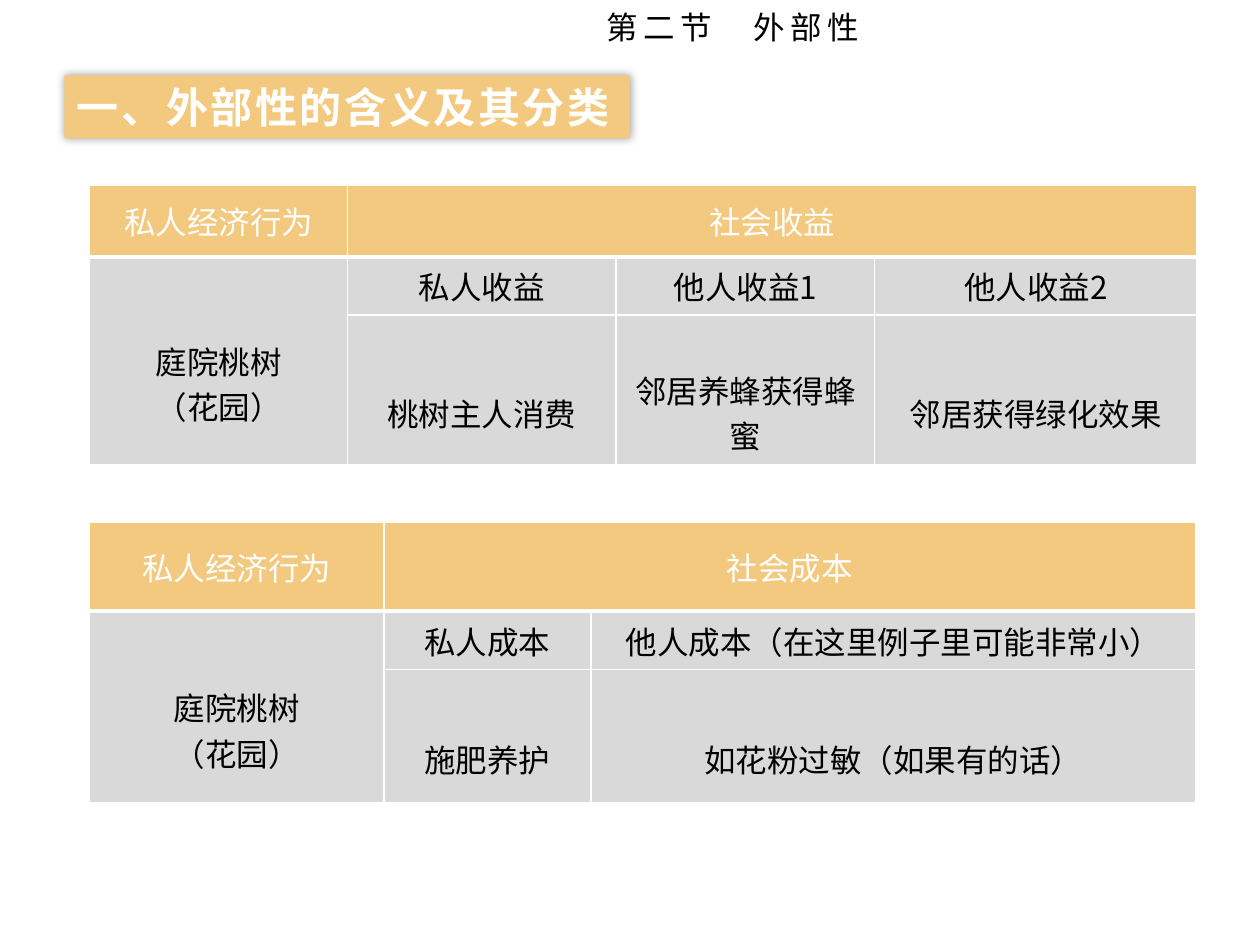
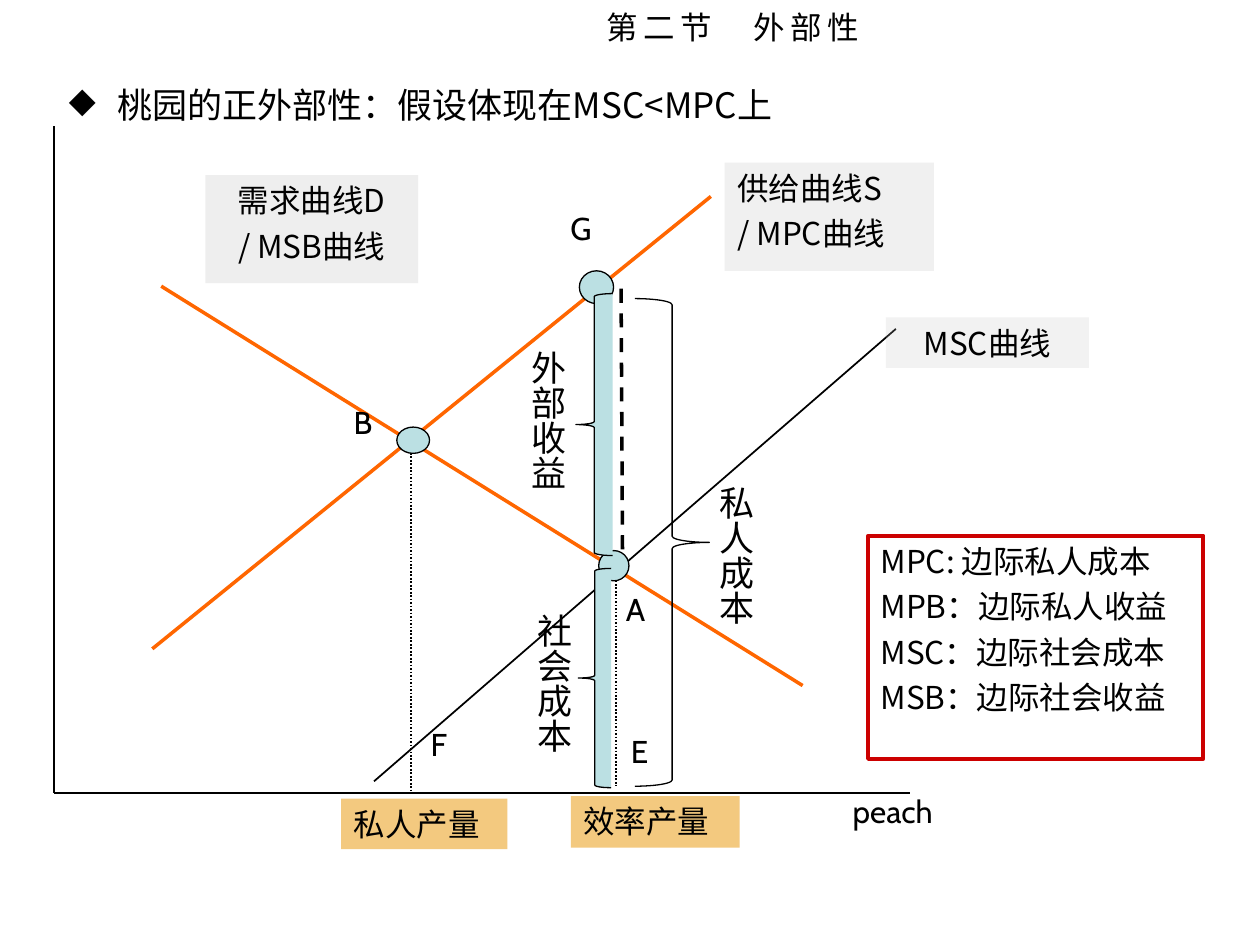
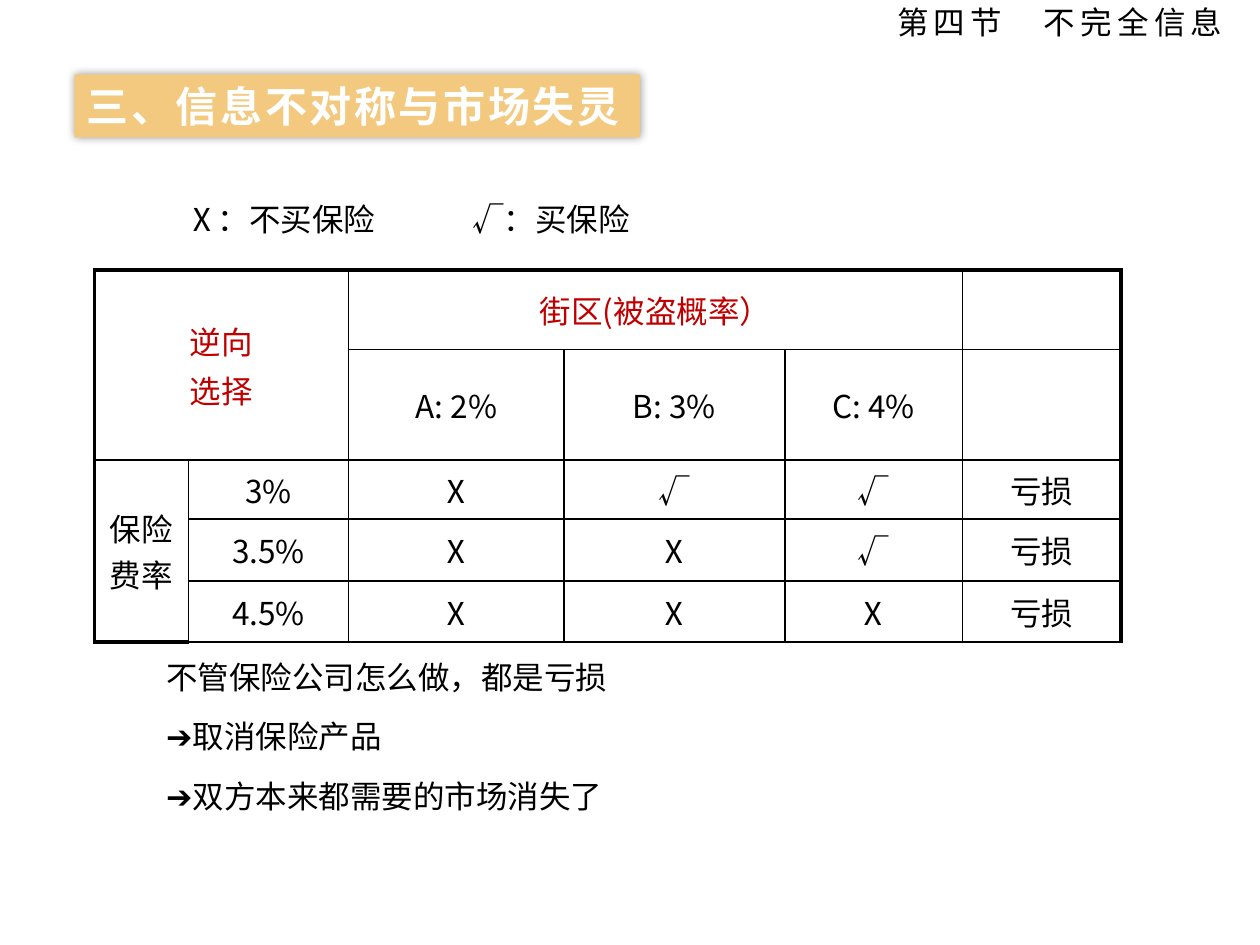
from lxml import etree
from pptx import Presentation
from pptx import util as u
from pptx.dml.color import RGBColor
from pptx.enum import dml, shapes, text
from pptx.oxml import ns

CJK, LATIN = "Noto Sans CJK SC", "Cabin"
GOLD = RGBColor(0xF3, 0xC9, 0x7F)
GREY = RGBColor(0xD9, 0xD9, 0xD9)
LABEL_GREY = RGBColor(0xBF, 0xBF, 0xBF)
TEAL = RGBColor(0xBB, 0xE0, 0xE3)
ORANGE = RGBColor(0xFF, 0x66, 0x00)
RED = RGBColor(0xC0, 0x00, 0x00)
FRAME_RED = RGBColor(0xCC, 0x00, 0x00)
BLACK = RGBColor(0, 0, 0)
WHITE = RGBColor(0xFF, 0xFF, 0xFF)

LEFT, CENTER, RIGHT = text.PP_ALIGN.LEFT, text.PP_ALIGN.CENTER, text.PP_ALIGN.RIGHT
TOP, MIDDLE = text.MSO_ANCHOR.TOP, text.MSO_ANCHOR.MIDDLE
SHAPE = shapes.MSO_SHAPE
DASH = dml.MSO_LINE


def cm(*lengths):
    return [u.Cm(length) for length in lengths]


def child(parent, tag, **attributes):
    return etree.SubElement(parent, ns.qn(tag), attributes)


# Text
def style(paragraph, size=18, color=BLACK, font=CJK, bold=False, spacing=0,
          align=LEFT, before=0, line=None):
    paragraph.alignment = align
    paragraph.space_before = u.Pt(before)
    if line:
        paragraph.line_spacing = line
    face = paragraph.font
    face.size, face.bold, face.name = u.Pt(size), bold, font
    face.color.rgb = color
    defaults = paragraph._p.get_or_add_pPr().get_or_add_defRPr()
    child(defaults, "a:ea", typeface=font)
    if spacing:
        defaults.set("spc", str(int(spacing * 100)))


def write(frame, content, before=0, **look):
    frame.text = content
    for index, paragraph in enumerate(frame.paragraphs):
        style(paragraph, before=before if index else 0, **look)


def add_text(slide, at, content, **look):
    frame = slide.shapes.add_textbox(*cm(*at)).text_frame
    frame.word_wrap = True
    write(frame, content, **look)
    return frame


def add_section_title(slide, at, content, align=LEFT):
    title = slide.shapes.title
    title.left, title.top, title.width, title.height = cm(*at)
    frame = title.text_frame
    frame.auto_size = text.MSO_AUTO_SIZE.NONE
    frame.vertical_anchor = MIDDLE
    frame.margin_top = frame.margin_bottom = 0
    write(frame, content, spacing=3, align=align)


def add_column_label(slide, left, top, content):
    """Narrow box in which each character takes its own line."""
    frame = add_text(slide, (left, top, 1.7, 3.68), content, size=20, line=0.83)
    frame.margin_top = u.Cm(0.3)


# Shapes and lines
def add_figure(slide, kind, at, fill=None, alpha=None, line=None, width=0.75):
    figure = slide.shapes.add_shape(kind, *cm(*at))
    figure.shadow.inherit = False
    if fill is None:
        figure.fill.background()
    else:
        figure.fill.solid()
        figure.fill.fore_color.rgb = fill
    if alpha:
        color = figure._element.spPr.find(".//" + ns.qn("a:srgbClr"))
        child(color, "a:alpha", val=str(alpha * 1000))
    if line is None:
        figure.line.fill.background()
    else:
        figure.line.color.rgb = line
        figure.line.width = u.Pt(width)
    return figure


def add_label(slide, at, content, fill=None, alpha=None, line=None, width=0.75, **look):
    label = add_figure(slide, SHAPE.RECTANGLE, at, fill, alpha, line, width)
    label.text_frame.vertical_anchor = TOP
    label.text_frame.word_wrap = True
    write(label.text_frame, content, before=4.4, **look)


def add_banner(slide, left, top, content):
    banner = add_figure(slide, SHAPE.RECTANGLE, (left, top, 11.4, 1.27), GOLD)
    effects = banner._element.spPr.find(ns.qn("a:effectLst"))
    glow = child(effects, "a:outerShdw", blurRad=str(u.Pt(5)), dist="0", dir="0",
                 algn="ctr", rotWithShape="0")
    child(child(glow, "a:srgbClr", val="000000"), "a:alpha", val="40000")
    banner.text_frame.word_wrap = False
    banner.text_frame.vertical_anchor = MIDDLE
    write(banner.text_frame, content, size=24, color=WHITE, bold=True, spacing=1.5)


def add_line(slide, start, end, color=BLACK, width=1, dash=None):
    line = slide.shapes.add_connector(shapes.MSO_CONNECTOR.STRAIGHT, *cm(*start, *end))
    line.line.color.rgb = color
    line.line.width = u.Pt(width)
    if dash:
        line.line.dash_style = dash
    child(line._element.spPr, "a:effectLst")


# Tables
def set_borders(cell, color, widths):
    properties = cell._tc.get_or_add_tcPr()
    for side, width in zip("LRTB", widths):
        border = child(properties, f"a:ln{side}", w=str(u.Pt(width)))
        child(child(border, "a:solidFill"), "a:srgbClr", val=str(color))


def add_grid(slide, at, columns, rows, texts, merges):
    """Add a table and return it with its cells as (row, column, cell)."""
    size = sum(columns), sum(rows)
    table = slide.shapes.add_table(len(rows), len(columns), *cm(*at, *size)).table
    table.first_row = table.horz_banding = False
    for column, width in zip(table.columns, columns):
        column.width = u.Cm(width)
    for row, height in zip(table.rows, rows):
        row.height = u.Cm(height)
    for first, last in merges:
        table.cell(*first).merge(table.cell(*last))
    cells = []
    for r, line in enumerate(texts):
        for c, content in enumerate(line):
            cell = table.cell(r, c)
            cell.vertical_anchor = MIDDLE
            if content:
                cell.text_frame.text = content
            cells.append((r, c, cell))
    return cells


def add_effect_table(slide, at, columns, rows, texts):
    """Gold header over grey cells; the first column's body is merged."""
    last = len(columns) - 1
    merges = [((0, 1), (0, last)), ((1, 0), (2, 0))]
    for r, c, cell in add_grid(slide, at, columns, rows, texts, merges):
        set_borders(cell, WHITE, (1, 1, 3 if r == 1 else 1, 3 if r == 0 else 1))
        cell.fill.solid()
        cell.fill.fore_color.rgb = GREY if r else GOLD
        if r == 2 or (r == 1 and c == 0):
            cell.margin_top = u.Cm(1.04)
        for paragraph in cell.text_frame.paragraphs:
            style(paragraph, color=BLACK if r else WHITE, align=CENTER)


def add_insurance_table(slide, at, columns, rows, texts):
    """Open grid with a heavy frame."""
    merges = [((0, 0), (1, 1)), ((0, 2), (0, 4)), ((2, 0), (4, 0))]
    for r, c, cell in add_grid(slide, at, columns, rows, texts, merges):
        bottom = r + (cell.span_height if cell.is_merge_origin else 1)
        heavy = (c == 0, c == len(columns) - 1, r == 0, c == 0 and bottom == len(rows))
        set_borders(cell, BLACK, [2.25 if edge else 1 for edge in heavy])
        cell.fill.background()
        for index, paragraph in enumerate(cell.text_frame.paragraphs):
            style(paragraph, color=BLACK if r else RED, align=CENTER,
                  before=1.8 if index else 0)


# Slides
def build_meaning(slide):
    add_effect_table(
        slide, (1.8, 3.73), (5.21, 5.41, 5.21, 6.5), (1.45, 1.17, 2.97),
        [("私人经济行为", "社会收益", None, None),
         ("庭院桃树\n（花园）", "私人收益", "他人收益1", "他人收益2"),
         (None, "桃树主人消费", "邻居养蜂获得蜂蜜", "邻居获得绿化效果")])
    add_effect_table(
        slide, (1.8, 10.52), (5.94, 4.17, 12.2), (1.8, 1.17, 2.69),
        [("私人经济行为", "社会成本", None),
         ("庭院桃树\n（花园）", "私人成本", "他人成本（在这里例子里可能非常小）"),
         (None, "施肥养护", "如花粉过敏（如果有的话）")])
    add_banner(slide, 1.3, 1.52, "一、外部性的含义及其分类")


def build_peach_chart(slide):
    # Axes, curves and drop lines
    origin = (1.09, 15.98)
    add_line(slide, (1.09, 2.54), origin)
    add_line(slide, origin, (18.34, 15.98))
    add_line(slide, (3.25, 5.77), (16.18, 13.82), ORANGE, 2)
    add_line(slide, (3.07, 13.08), (14.33, 3.96), ORANGE, 2)
    add_line(slide, (7.54, 15.75), (18.06, 6.63))
    add_line(slide, (8.28, 8.99), (8.28, 15.98), dash=DASH.ROUND_DOT)
    add_line(slide, (12.42, 11.56), (12.42, 15.85), dash=DASH.ROUND_DOT)

    # Curve and quantity labels
    add_label(slide, (4.14, 3.53, 4.29, 2.18), "需求曲线D\n/ MSB曲线",
              LABEL_GREY, 25, align=CENTER)
    add_label(slide, (14.61, 3.28, 4.22, 2.18), "供给曲线S\n/ MPC曲线", LABEL_GREY, 23)
    add_label(slide, (17.86, 6.4, 4.09, 1.02), "MSC曲线", LABEL_GREY, 20, align=CENTER)
    add_label(slide, (11.51, 16.05, 3.4, 1.04), "效率产量", GOLD, line=None)
    add_label(slide, (6.88, 16.1, 3.35, 1.02), "私人产量", GOLD)
    add_text(slide, (16.94, 15.85, 5.08, 1.02), "peach", font=LATIN)

    # Statement with a diamond bullet
    frame = slide.shapes.add_textbox(*cm(1.14, 1.55, 23, 1.12)).text_frame
    frame.word_wrap = True
    frame.text = "桃园的正外部性：假设体现在MSC<MPC上"
    properties = frame.paragraphs[0]._p.get_or_add_pPr()
    properties.set("marL", str(u.Cm(0.97)))
    properties.set("indent", str(-u.Cm(0.97)))
    child(properties, "a:buChar", char="◆")
    style(frame.paragraphs[0], size=20)

    # Points
    for at in ((8, 8.61, 0.66, 0.53), (12.07, 11.1, 0.61, 0.61)):
        add_figure(slide, SHAPE.OVAL, at, TEAL, line=BLACK)
    for letter, left, top in (("A", 12.37, 11.76), ("B", 6.88, 8), ("F", 8.43, 14.5),
                              ("E", 12.47, 14.63), ("G", 11.25, 4.09)):
        add_text(slide, (left, top, 1.7, 1.02), letter, font=LATIN)
    add_line(slide, (12.52, 5.82), (12.55, 11.28), width=2, dash=DASH.DASH)
    add_figure(slide, SHAPE.OVAL, (11.68, 5.46, 0.69, 0.66), TEAL, line=BLACK)

    # Braces and what they measure
    add_figure(slide, SHAPE.LEFT_BRACE, (11.61, 5.92, 0.74, 5.28), TEAL, line=BLACK)
    add_figure(slide, SHAPE.LEFT_BRACE, (11.66, 11.46, 0.66, 4.42), TEAL, line=BLACK)
    add_figure(slide, SHAPE.RIGHT_BRACE, (12.8, 6.02, 1.5, 9.83), line=BLACK)
    add_column_label(slide, 10.46, 6.83, "外部收益")
    add_column_label(slide, 10.59, 12.14, "社会成本")
    add_column_label(slide, 14.25, 9.55, "私人成本")

    # Key to the abbreviations
    add_label(slide, (17.5, 10.8, 6.76, 4.5),
              "MPC: 边际私人成本\nMPB：边际私人收益\nMSC：边际社会成本\nMSB：边际社会收益",
              line=FRAME_RED, width=2.25)


def build_insurance(slide):
    add_insurance_table(
        slide, (1.9, 5.44), (1.9, 3.23, 4.34, 4.45, 3.58, 3.2),
        (1.61, 2.22, 1.19, 1.25, 1.23),
        [("逆向\n选择", None, "街区(被盗概率）", None, None, None),
         (None, None, "A: 2%", "B: 3%", "C: 4%", None),
         ("保险费率", "3%", "Ⅹ", "√", "√", "亏损"),
         (None, "3.5%", "Ⅹ", "Ⅹ", "√", "亏损"),
         (None, "4.5%", "Ⅹ", "Ⅹ", "Ⅹ", "亏损")])

    # Key, its second entry set on a tab stop
    frame = slide.shapes.add_textbox(*cm(3.51, 3.91, 16.41, 1.02)).text_frame
    frame.word_wrap = True
    frame.text = "Ⅹ：不买保险\t√：买保险"
    stops = child(frame.paragraphs[0]._p.get_or_add_pPr(), "a:tabLst")
    child(stops, "a:tab", pos=str(u.Cm(5.76)), algn="l")
    style(frame.paragraphs[0])

    add_text(slide, (3.1, 12.75, 19, 3.89),
             "不管保险公司怎么做，都是亏损\n➔取消保险产品\n➔双方本来都需要的市场消失了",
             before=1.8, line=1.5)
    add_banner(slide, 1.5, 1.5, "三、信息不对称与市场失灵")


def main():
    deck = Presentation()
    deck.slide_width, deck.slide_height = cm(25.4, 19.05)
    externality = ((11.98, 0.05, 12, 1), "第二节　外部性")
    information = ((12.9, 0, 12, 0.9), "第四节　不完全信息", RIGHT)
    for build, title in ((build_meaning, externality), (build_peach_chart, externality),
                         (build_insurance, information)):
        slide = deck.slides.add_slide(deck.slide_layouts[5])
        build(slide)
        add_section_title(slide, *title)
    deck.save("out.pptx")


if __name__ == "__main__":
    main()
